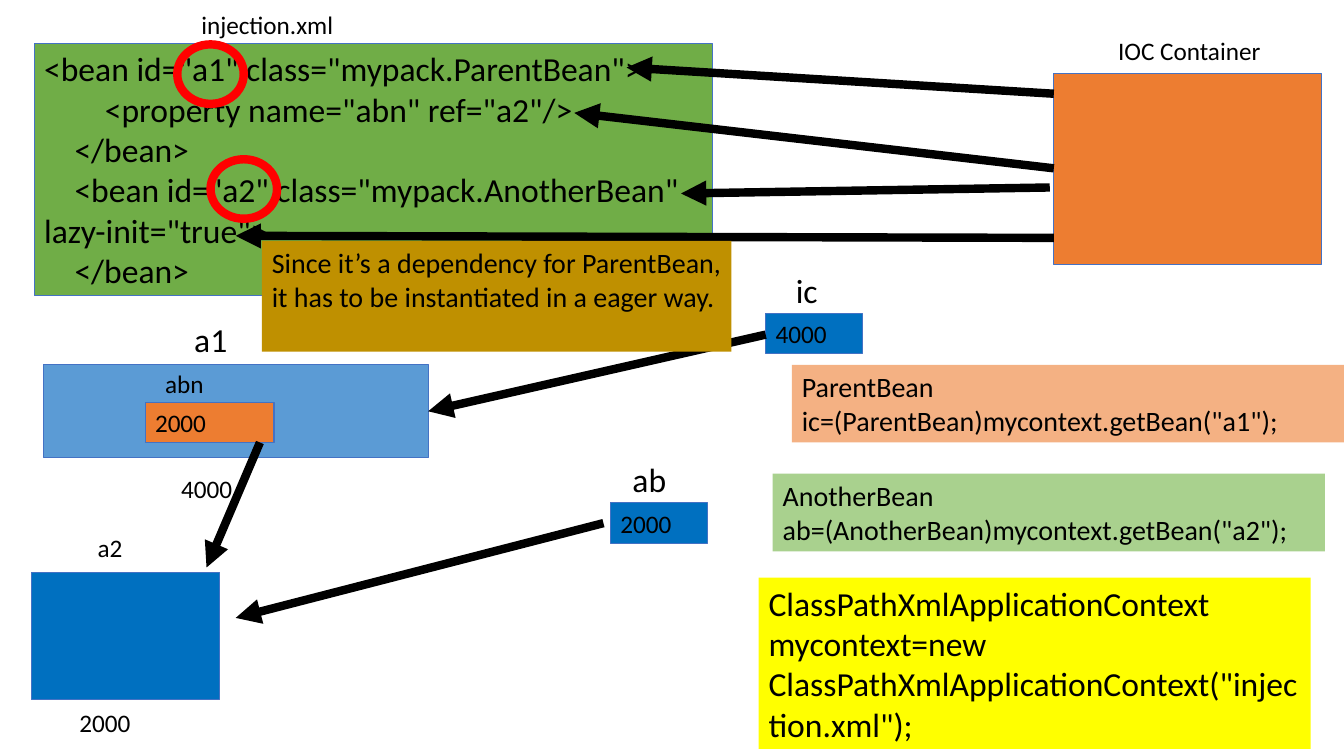
from pptx import Presentation
from pptx.dml.color import RGBColor
from pptx.enum.shapes import MSO_CONNECTOR, MSO_SHAPE
from pptx.enum.text import MSO_ANCHOR, PP_ALIGN
from pptx.oxml.ns import qn
from pptx.util import Pt
from lxml import etree

RECT, OVAL = MSO_SHAPE.RECTANGLE, MSO_SHAPE.OVAL
LINE = MSO_CONNECTOR.STRAIGHT
TOP, LEFT = MSO_ANCHOR.TOP, PP_ALIGN.LEFT
PX = 9144
GREEN, ORANGE, BLUE, EDGE = "70AD47", "ED7D31", "0070C0", "4472C4"
BLACK, RED = "000000", "FF0000"


def color(code):
    return RGBColor.from_string(code)


def write(shape, text, size):
    frame = shape.text_frame
    look = {"word_wrap": True, "vertical_anchor": TOP,
            "margin_left": 10 * PX, "margin_right": 10 * PX,
            "margin_top": 5 * PX, "margin_bottom": 5 * PX}
    for key, value in look.items():
        setattr(frame, key, value)
    frame.text = text
    for para in frame.paragraphs:
        para.alignment = LEFT
        for key, value in {"name": "Calibri", "size": Pt(size)}.items():
            setattr(para.font, key, value)
        para.font.color.rgb = color(BLACK)


deck = Presentation()
deck.slide_width, deck.slide_height = 1334 * PX, 750 * PX
slide = deck.slides.add_slide(deck.slide_layouts[6])
shapes = slide.shapes

beans = """<bean id="a1" class="mypack.ParentBean">
        <property name="abn" ref="a2"/>
    </bean>
    <bean id="a2" class="mypack.AnotherBean" lazy-init="true">
    </bean>"""
setup = 'ClassPathXmlApplicationContext mycontext=new ClassPathXmlApplicationContext("injection.xml");'
parent = 'ParentBean ic=(ParentBean)mycontext.getBean("a1");'
other = 'AnotherBean ab=(AnotherBean)mycontext.getBean("a2");'
note = "Since it’s a dependency for ParentBean, it has to be instantiated in a eager way."

arrows = [
    (760, 332, 425, 408),
    (1046, 167, 570, 112),
    (1046, 236, 234, 234),
    (1046, 93, 622, 67),
    (599, 519, 234, 613),
    (1042, 186, 676, 192),
    (258, 439, 205, 563),
]
boxes = [
    (34, 43, 673, 250, GREEN, EDGE, beans, 24),
    (1046, 73, 266, 189, ORANGE, EDGE, "", 18),
    (43, 362, 382, 92, "5B9BD5", EDGE, "", 18),
    (144, 399, 128, 40, ORANGE, EDGE, "2000", 18),
    (31, 568, 187, 126, BLUE, EDGE, "", 18),
    (760, 311, 96, 40, BLUE, EDGE, "4000", 18),
    (606, 499, 96, 40, BLUE, EDGE, "2000", 18),
    (753, 573, 548, 170, "FFFF00", None, setup, 24),
    (786, 362, 548, 77, "F4B183", None, parent, 20),
    (767, 470, 548, 77, "A9D18E", None, other, 20),
    (260, 239, 466, 110, "BF9000", None, note, 20),
]
labels = [
    (190, 4, 177, 40, "injection.xml", 18),
    (1100, 30, 177, 40, "IOC Container", 18),
    (183, 311, 74, 50, "a1", 24),
    (87, 523, 70, 40, "a2", 18),
    (69, 697, 76, 40, "2000", 18),
    (170, 465, 76, 40, "4000", 18),
    (780, 263, 49, 50, "ic", 24),
    (154, 360, 110, 40, "abn", 18),
    (618, 450, 73, 50, "ab", 24),
]

for *place, fill, edge, text, size in boxes:
    if text == note:
        for ends in arrows:
            arrow = shapes.add_connector(LINE, *[n * PX for n in ends])
            arrow.line.width = Pt(6)
            arrow.line.color.rgb = color(BLACK)
            pen = arrow.line._get_or_add_ln()
            etree.SubElement(pen, qn("a:tailEnd"), type="triangle")
            etree.SubElement(arrow._element.spPr, qn("a:effectLst"))
    box = shapes.add_shape(RECT, *[n * PX for n in place])
    box.shadow.inherit = False
    box.fill.solid()
    box.fill.fore_color.rgb = color(fill)
    if edge:
        box.line.color.rgb = color(edge)
        box.line.width = Pt(0.75)
    else:
        box.line.fill.background()
    if text:
        write(box, text, size)

for *place, text, size in labels:
    write(shapes.add_textbox(*[n * PX for n in place]), text, size)

for left, top in [(176, 44), (209, 158)]:
    ring = shapes.add_shape(OVAL, left * PX, top * PX, 66 * PX, 59 * PX)
    ring.shadow.inherit = False
    ring.fill.background()
    ring.line.color.rgb = color(RED)
    ring.line.width = Pt(6)

deck.save("out.pptx")
